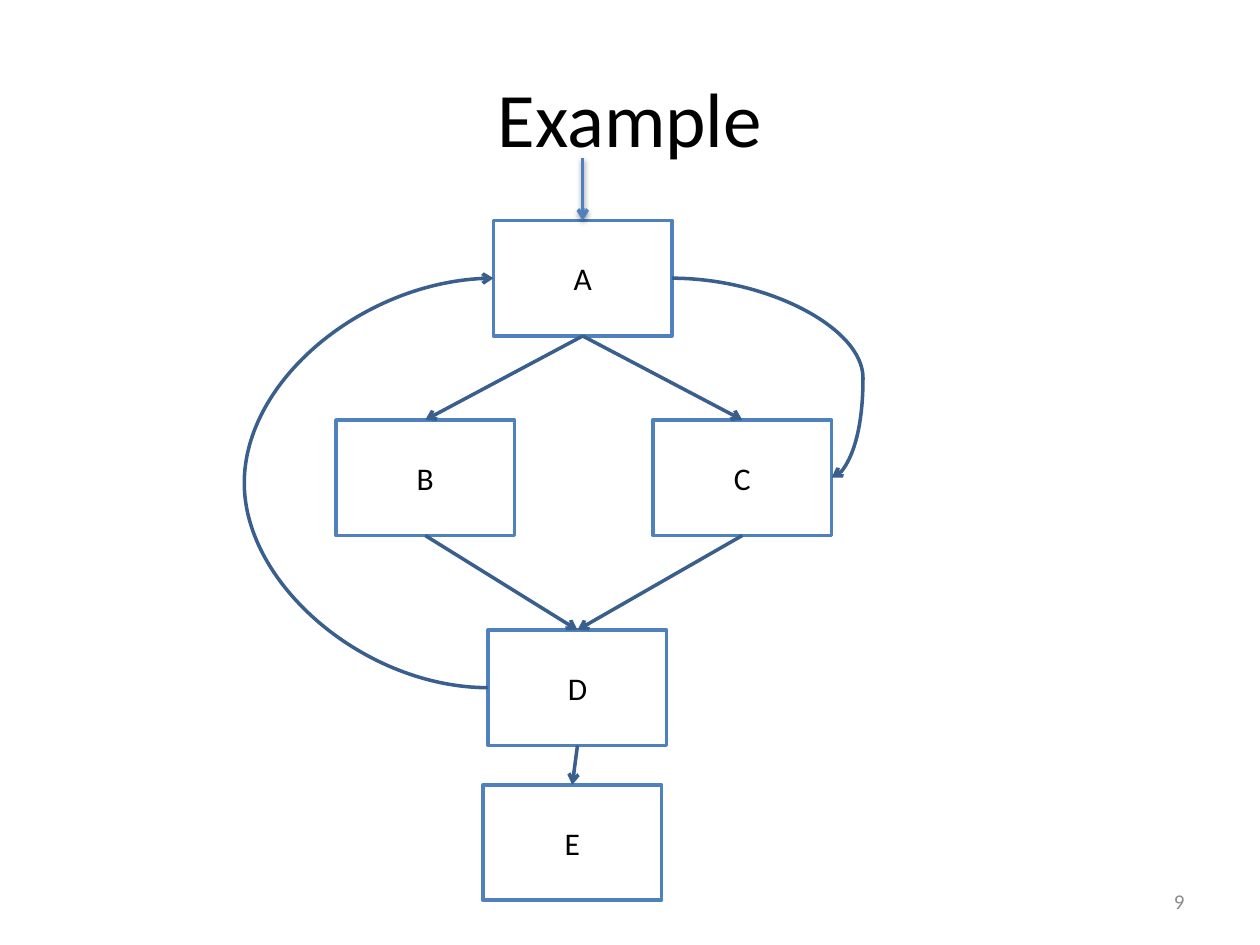
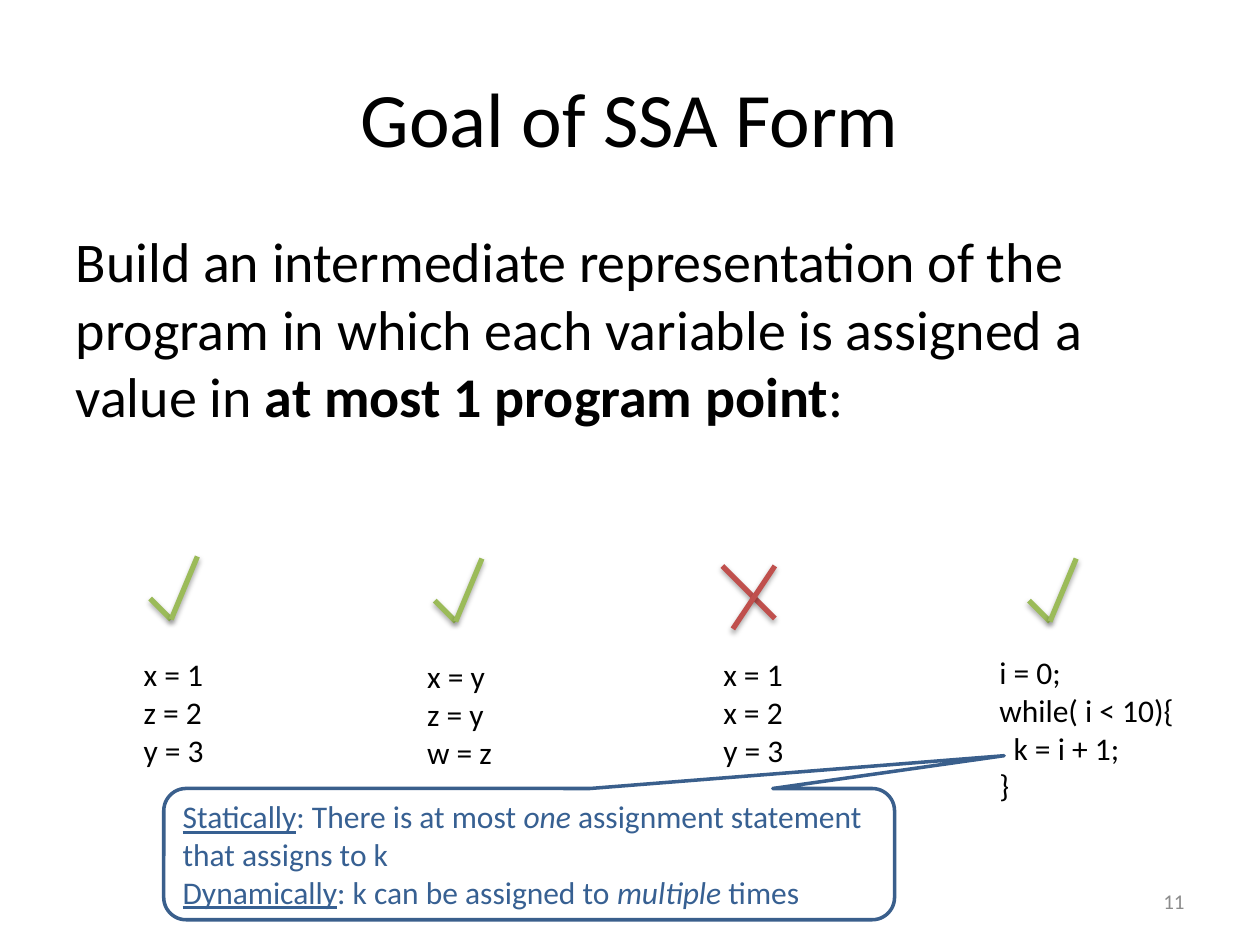
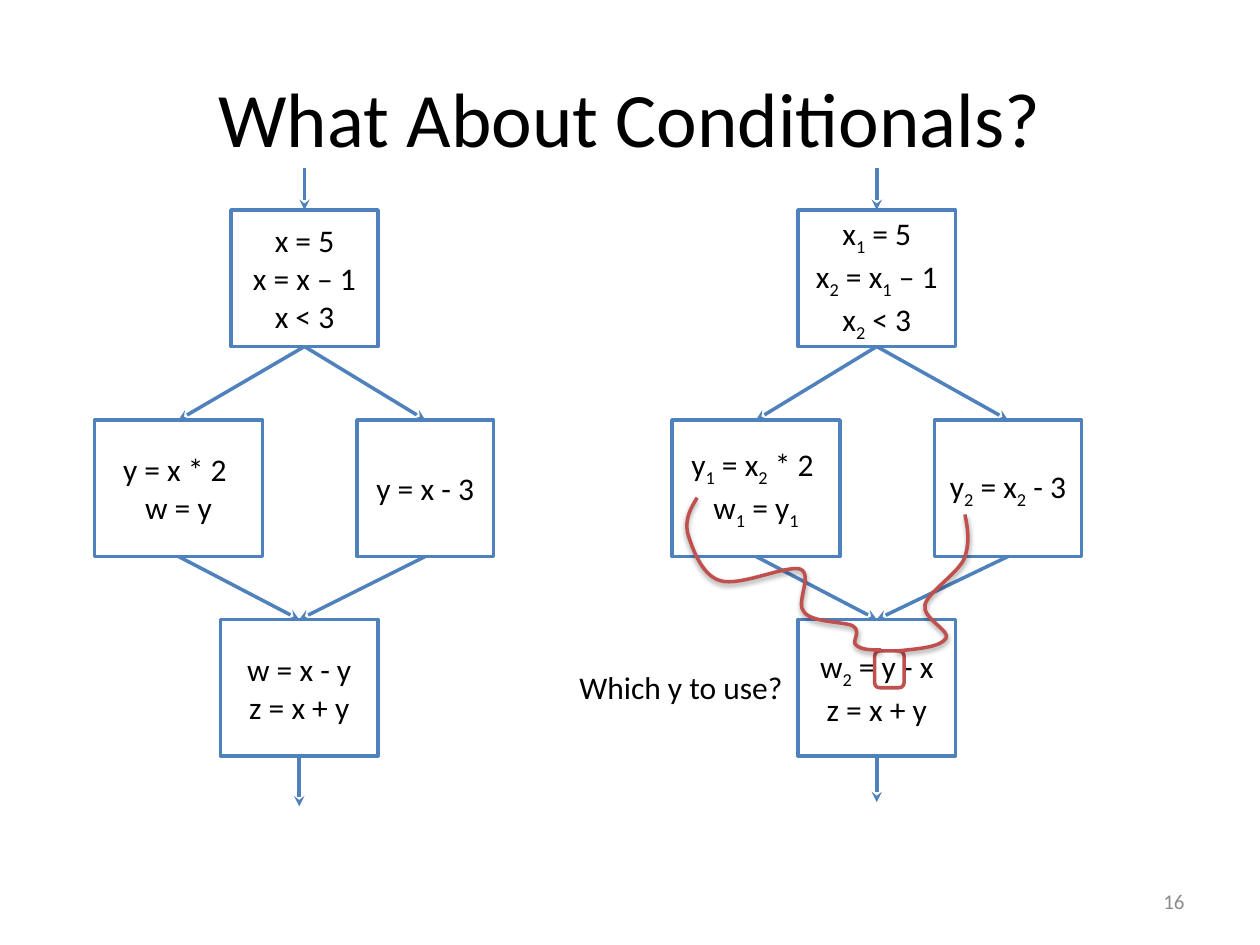
from dataclasses import dataclass
from typing import Any, NamedTuple, Optional

import lxml.etree
import pptx
import pptx.dml.color
import pptx.enum.shapes
import pptx.enum.text
import pptx.oxml.ns
import pptx.util

RGB = pptx.dml.color.RGBColor
SHAPE = pptx.enum.shapes.MSO_SHAPE
CONNECTOR = pptx.enum.shapes.MSO_CONNECTOR
ALIGN = pptx.enum.text.PP_ALIGN
ANCHOR = pptx.enum.text.MSO_ANCHOR
FIT = pptx.enum.text.MSO_AUTO_SIZE
qn = pptx.oxml.ns.qn

# Shared look
BLACK = RGB(0x00, 0x00, 0x00)
WHITE = RGB(0xFF, 0xFF, 0xFF)
GREY = RGB(0x8C, 0x8C, 0x8C)
BLUE = RGB(0x4F, 0x81, 0xBD)
DARK_BLUE = RGB(0x3A, 0x5F, 0x8C)
NOTE_BLUE = RGB(0x37, 0x60, 0x92)
RED = RGB(0xC0, 0x50, 0x4D)
GREEN = RGB(0x9B, 0xBB, 0x59)
FONT = "Calibri"
TOP, LEFT, BOTTOM, RIGHT = range(4)

# The slide is a grid of 120 columns and 90 rows of square cells
SLIDE_WIDTH, SLIDE_HEIGHT = pptx.util.Inches(10), pptx.util.Inches(7.5)
COLUMNS = 120
CELL = SLIDE_WIDTH / COLUMNS


class Point(NamedTuple):
    column: float
    row: float


class Box(NamedTuple):
    left: float
    top: float
    width: float
    height: float


class Run(NamedTuple):
    text: str
    style: dict[str, Any] = {}
    baseline: int = 0


class Line(NamedTuple):
    runs: list[Run]
    indent: float = 0


@dataclass(frozen=True)
class Block:
    name: str
    box: Box
    lines: tuple[str, ...]


@dataclass(frozen=True)
class Link:
    source: str
    target: str
    source_side: int = BOTTOM
    target_side: int = TOP
    bulge: Optional[float] = None  # column that a curved link swings out to


@dataclass(frozen=True)
class Snippet:
    box: Box
    lines: list[Line]
    mark_at: Point
    valid: bool = True


TITLE_BOX = Box(6, 3.6, 108, 15)
BODY_BOX = Box(6, 21, 108, 59.4)
NUMBER_BOX = Box(86, 83.4, 28, 4.8)


def cells(count: float) -> int:
    return round(count * CELL)


def plain(text: str, indent: float = 0) -> Line:
    """A line in which the character after each underscore is a subscript."""
    first, *rest = text.split("_")
    runs = [Run(first)]
    for part in rest:
        runs += [Run(part[0], baseline=-25000), Run(part[1:])]
    return Line([run for run in runs if run.text], indent)


# Text
def write(frame: Any, lines: list[Line], size: float = 18, color: RGB = BLACK,
          align: Optional[Any] = None, **frame_format: Any) -> None:
    for name, value in ({"word_wrap": True} | frame_format).items():
        setattr(frame, name, value)
    for number, line in enumerate(lines):
        paragraph = frame.add_paragraph() if number else frame.paragraphs[0]
        paragraph.alignment = align
        if line.indent:
            paragraph._p.get_or_add_pPr().set("marL", str(cells(line.indent)))
        for part in line.runs:
            run = paragraph.add_run()
            run.text = part.text
            style = {"name": FONT, "size": pptx.util.Pt(size)} | part.style
            for name, value in style.items():
                setattr(run.font, name, value)
            run.font.color.rgb = color
            if part.baseline:
                run._r.get_or_add_rPr().set("baseline", str(part.baseline))


def add_text(slide: Any, box: Box, lines: list[Line], **text_format: Any) -> None:
    frame = slide.shapes.add_textbox(*map(cells, box)).text_frame
    write(frame, lines, **text_format)


def place(placeholder: Any, box: Box) -> None:
    for name, value in box._asdict().items():
        setattr(placeholder, name, cells(value))


def start_slide(deck: Any, layout: int, title: str, number: int) -> Any:
    slide = deck.slides.add_slide(deck.slide_layouts[layout])
    place(slide.shapes.title, TITLE_BOX)
    write(slide.shapes.title.text_frame, [plain(title)], size=44,
          align=ALIGN.CENTER, vertical_anchor=ANCHOR.MIDDLE)
    add_text(slide, NUMBER_BOX, [plain(str(number))], size=12, color=GREY,
             align=ALIGN.RIGHT, vertical_anchor=ANCHOR.MIDDLE)
    return slide


# Lines and shapes
def set_line(shape: Any, color: RGB, width: float) -> None:
    shape.line.color.rgb = color
    shape.line.width = pptx.util.Pt(width)


def set_effects(shape: Any, opacity: int = 0, distance: float = 1.6) -> None:
    """Leave the shape flat, or drop a shadow of the given opacity below it."""
    properties = shape._element.spPr
    effects = properties.find(qn("a:effectLst"))
    if effects is None:
        effects = lxml.etree.SubElement(properties, qn("a:effectLst"))
    if opacity:
        shadow = lxml.etree.SubElement(
            effects, qn("a:outerShdw"), blurRad=str(pptx.util.Pt(3.1)),
            dist=str(pptx.util.Pt(distance)), dir="5400000", rotWithShape="0")
        black = lxml.etree.SubElement(shadow, qn("a:srgbClr"), val="000000")
        lxml.etree.SubElement(black, qn("a:alpha"), val=str(opacity * 1000))


def add_stroke(slide: Any, start: Point, end: Point, color: RGB, width: float = 2,
               head: str = "", kind: Any = CONNECTOR.STRAIGHT, opacity: int = 0,
               distance: float = 1.6) -> Any:
    stroke = slide.shapes.add_connector(kind, *map(cells, start + end))
    set_line(stroke, color, width)
    if head:
        lxml.etree.SubElement(stroke.line._get_or_add_ln(), qn("a:tailEnd"), type=head)
    set_effects(stroke, opacity, distance)
    return stroke


def add_shape(slide: Any, kind: Any, box: Box, line: RGB, fill: Optional[RGB] = WHITE) -> Any:
    shape = slide.shapes.add_shape(kind, *map(cells, box))
    if fill is None:
        shape.fill.background()
    else:
        shape.fill.solid()
        shape.fill.fore_color.rgb = fill
    set_line(shape, line, 2)
    shape.shadow.inherit = False
    return shape


def add_curve(slide: Any, points: list[tuple[float, float]]) -> None:
    """Draw a start point followed by Bézier triples (two controls and an end)."""
    emu = [(cells(x), cells(y)) for x, y in points]
    builder = slide.shapes.build_freeform(*emu[0])
    builder.add_line_segments(emu[1:], close=False)
    curve = builder.convert_to_shape()
    segments = list(curve._element.iter(qn("a:lnTo")))
    for first in range(0, len(segments), 3):
        triple = segments[first:first + 3]
        bend = lxml.etree.Element(qn("a:cubicBezTo"))
        triple[0].addprevious(bend)
        for segment in triple:
            bend.append(segment[0])
            segment.getparent().remove(segment)
    curve.fill.background()
    set_line(curve, RED, 2)
    set_effects(curve, 38)


# Flow graphs
def add_graph(slide: Any, blocks: list[Block], links: list[Link],
              color: RGB, head: str) -> dict[str, Any]:
    drawn = {}
    for block in blocks:
        drawn[block.name] = add_shape(slide, SHAPE.RECTANGLE, block.box, BLUE)
        write(drawn[block.name].text_frame, [plain(text) for text in block.lines],
              align=ALIGN.CENTER, vertical_anchor=ANCHOR.MIDDLE)
    for link in links:
        kind = CONNECTOR.STRAIGHT if link.bulge is None else CONNECTOR.CURVE
        arrow = add_stroke(slide, Point(0, 0), Point(0, 0), color, head=head, kind=kind)
        arrow.begin_connect(drawn[link.source], link.source_side)
        arrow.end_connect(drawn[link.target], link.target_side)
        if link.bulge is not None:
            share = (cells(link.bulge) - arrow.begin_x) / (arrow.end_x - arrow.begin_x)
            guides = arrow._element.spPr.find(qn("a:prstGeom")).find(qn("a:avLst"))
            lxml.etree.SubElement(guides, qn("a:gd"), name="adj1",
                                  fmla=f"val {round(share * 100000)}")
    return drawn


def add_entry(slide: Any, block: Block, shape: Any, length: float, head: str,
              opacity: int = 0) -> None:
    middle = block.box.left + block.box.width / 2
    top = block.box.top
    entry = add_stroke(slide, Point(middle, top - length), Point(middle, top),
                       BLUE, head=head, opacity=opacity)
    entry.end_connect(shape, TOP)


def add_exit(slide: Any, block: Block, shape: Any, length: float, head: str) -> None:
    middle = block.box.left + block.box.width / 2
    bottom = block.box.top + block.box.height
    leaving = add_stroke(slide, Point(middle, bottom), Point(middle, bottom + length),
                         BLUE, head=head)
    leaving.begin_connect(shape, BOTTOM)


# Slide: example graph
def build_example(deck: Any) -> None:
    slide = start_slide(deck, 5, "Example", 9)
    corners = {"A": (47, 21), "B": (32, 40), "C": (62.2, 40),
               "D": (46.5, 60), "E": (46, 74.75)}
    blocks = [Block(name, Box(*corner, 17, 11), (name,)) for name, corner in corners.items()]
    links = [Link(*pair) for pair in ("AB", "AC", "BD", "CD", "DE")]
    links += [Link("A", "C", RIGHT, RIGHT, bulge=82.2),
              Link("D", "A", LEFT, LEFT, bulge=23.3)]
    drawn = add_graph(slide, blocks, links, DARK_BLUE, "arrow")
    add_entry(slide, blocks[0], drawn["A"], 6, "arrow", opacity=38)


# Slide: goal of SSA form
CHECK = [(Point(0, 0), Point(2, 2)), (Point(2, 2), Point(4.5, -4))]
CROSS = [(Point(0, 0), Point(5, 5)), (Point(5, 0), Point(1, 6))]


def add_snippet(slide: Any, snippet: Snippet) -> None:
    add_text(slide, snippet.box, snippet.lines, auto_size=FIT.SHAPE_TO_FIT_TEXT)
    strokes, color = (CHECK, GREEN) if snippet.valid else (CROSS, RED)
    column, row = snippet.mark_at
    for start, end in strokes:
        add_stroke(slide, Point(column + start.column, row + start.row),
                   Point(column + end.column, row + end.row),
                   color, width=3, opacity=35, distance=1.8)


def build_goal(deck: Any) -> None:
    slide = start_slide(deck, 1, "Goal of SSA Form", 11)
    goal = slide.placeholders[1]
    place(goal, BODY_BOX)
    write(goal.text_frame, [Line([
        Run("Build an intermediate representation of the program in which "
            "each variable is assigned a value in "),
        Run("at most 1 program point", {"bold": True}),
        Run(":")])], size=32)
    paragraph_format = goal.text_frame.paragraphs[0]._p.get_or_add_pPr()
    for name in ("marL", "indent"):
        paragraph_format.set(name, "0")
    lxml.etree.SubElement(paragraph_format, qn("a:buNone"))

    snippets = [
        Snippet(Box(12.5, 61.8, 13, 12.1),
                [plain("x = 1"), plain("z = 2"), plain("y = 3")], Point(14.3, 57)),
        Snippet(Box(39.5, 62, 13, 12.1),
                [plain("x = y"), plain("z = y"), plain("w = z")], Point(41.4, 57.2)),
        Snippet(Box(67.7, 61.8, 11.6, 12.1),
                [plain("x = 1"), plain("x = 2"), plain("y = 3")], Point(68.8, 53.9), False),
        Snippet(Box(94, 61.6, 23, 15.7),
                [plain("i = 0;"), plain("while( i < 10){"),
                 plain("k = i + 1;", indent=1.35), plain("}")], Point(98, 57.2)),
    ]
    for snippet in snippets:
        add_snippet(slide, snippet)

    # Note that points at the loop's assignment
    note = add_shape(slide, SHAPE.ROUNDED_RECTANGULAR_CALLOUT,
                     Box(15.6, 75.1, 69.6, 12.5), DARK_BLUE)
    for index, value in enumerate((0.65, -0.75, 0.17)):
        note.adjustments[index] = value
    underlined, italic = {"underline": True}, {"italic": True}
    write(note.text_frame, [
        Line([Run("Statically", underlined), Run(": There is at most "),
              Run("one", italic), Run(" assignment statement that assigns to k")]),
        Line([Run("Dynamically", underlined), Run(": k can be assigned to "),
              Run("multiple", italic), Run(" times")]),
    ], color=NOTE_BLUE, align=ALIGN.LEFT, vertical_anchor=ANCHOR.MIDDLE)


# Slide: conditionals before and after renaming
def add_conditional(slide: Any, blocks: list[Block], exit_length: float) -> None:
    links = [Link("test", "then"), Link("test", "else"),
             Link("then", "merge"), Link("else", "merge")]
    drawn = add_graph(slide, blocks, links, BLUE, "stealth")
    add_entry(slide, blocks[0], drawn["test"], 4, "stealth")
    add_exit(slide, blocks[-1], drawn["merge"], exit_length, "stealth")


def build_conditionals(deck: Any) -> None:
    slide = start_slide(deck, 5, "What About Conditionals?", 16)
    add_conditional(slide, [
        Block("test", Box(76, 20, 15, 13), ("x_1 = 5", "x_2 = x_1 – 1", "x_2 < 3")),
        Block("then", Box(64, 40, 16, 13), ("y_1 = x_2 * 2 ", "w_1 = y_1")),
        Block("else", Box(89, 40, 14, 13), ("y_2 = x_2 - 3",)),
        Block("merge", Box(76, 59, 15, 13), ("w_2 = y - x", "z = x + y")),
    ], exit_length=4.4)
    add_conditional(slide, [
        Block("test", Box(22, 20, 14, 13), ("x = 5", "x = x – 1", "x < 3")),
        Block("then", Box(9, 40, 16, 13), ("y = x * 2 ", "w = y")),
        Block("else", Box(34, 40, 13, 13), ("y = x - 3",)),
        Block("merge", Box(21, 59, 15, 13), ("w = x - y", "z = x + y")),
    ], exit_length=4.8)

    # The ambiguous y and its two possible definitions
    add_shape(slide, SHAPE.ROUNDED_RECTANGLE, Box(83.3, 62, 2.8, 3.5), RED, fill=None)
    add_curve(slide, [
        (85.4, 62), (87.6, 61.8), (89.6, 61.6), (90.1, 60.8),
        (90.6, 60.1), (87.8, 58.9), (88.1, 57.6),
        (88.4, 56.4), (91.1, 54.7), (91.8, 53.3),
        (92.4, 51.8), (92.2, 50.4), (91.9, 49)])
    add_curve(slide, [
        (83.9, 61.9), (82.9, 61.9), (82, 61.9), (81.5, 61.4),
        (81.1, 61.1), (82.1, 60.1), (81.2, 59.6),
        (80.4, 59.2), (77.3, 59.3), (76.6, 58.3),
        (75.7, 57.5), (77.5, 54.7), (76.2, 54.2),
        (74.9, 53.8), (70.4, 55.9), (68.6, 55.3),
        (66.8, 54.8), (65.9, 52.1), (65.5, 50.8),
        (65.2, 49.4), (65.8, 48.4), (66.4, 47.4)])
    add_text(slide, Box(54, 63, 22.1, 4.8), [plain("Which y to use?")],
             word_wrap=False, auto_size=FIT.SHAPE_TO_FIT_TEXT)


def main() -> None:
    deck = pptx.Presentation()
    deck.slide_width, deck.slide_height = SLIDE_WIDTH, SLIDE_HEIGHT
    for build in (build_example, build_goal, build_conditionals):
        build(deck)
    deck.save("out.pptx")


if __name__ == "__main__":
    main()
